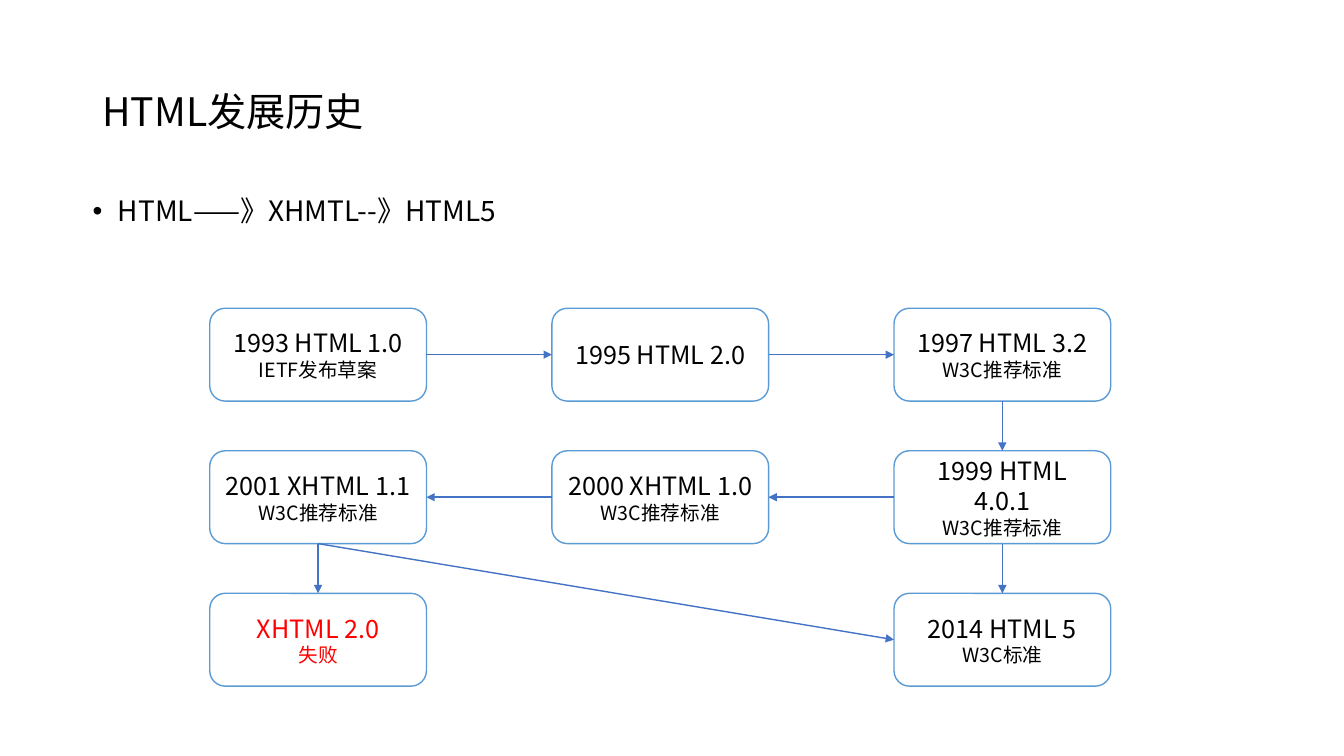
from dataclasses import dataclass

import pptx
import pptx.dml.color
import pptx.enum.shapes
import pptx.enum.text
import pptx.oxml
import pptx.oxml.ns
import pptx.util

Pt = pptx.util.Pt
RGB = pptx.dml.color.RGBColor
Shape = pptx.enum.shapes.MSO_SHAPE
Align = pptx.enum.text.PP_ALIGN
Anchor = pptx.enum.text.MSO_ANCHOR
qn = pptx.oxml.ns.qn


@dataclass(frozen=True)
class Theme:
    font: str = "Noto Sans CJK SC"
    text: RGB = RGB(0x00, 0x00, 0x00)
    failed: RGB = RGB(0xFF, 0x00, 0x00)
    box_fill: RGB = RGB(0xFF, 0xFF, 0xFF)
    box_line: RGB = RGB(0x5B, 0x9B, 0xD5)
    arrow: RGB = RGB(0x44, 0x72, 0xC4)
    title_size: float = 28
    body_size: float = 20
    version_size: float = 18
    status_size: float = 14
    line_width: float = 1


@dataclass(frozen=True)
class Version:
    name: str
    status: str
    col: int
    row: int
    color: RGB


@dataclass(frozen=True)
class Arrow:
    start: str
    start_site: int
    end: str
    end_site: int


THEME = Theme()
TOP, LEFT, BOTTOM, RIGHT = range(4)  # connection sites of a rounded rectangle

GRID_LEFT, GRID_TOP = 149.8, 220.2
COL_STEP, ROW_STEP = 244.4, 101.8
BOX_WIDTH, BOX_HEIGHT = 154.8, 66.3

VERSIONS = [
    Version("1993 HTML 1.0", "IETF发布草案", 0, 0, THEME.text),
    Version("1995 HTML 2.0", "", 1, 0, THEME.text),
    Version("1997 HTML 3.2", "W3C推荐标准", 2, 0, THEME.text),
    Version("1999 HTML 4.0.1", "W3C推荐标准", 2, 1, THEME.text),
    Version("2014 HTML 5", "W3C标准", 2, 2, THEME.text),
    Version("2000 XHTML 1.0", "W3C推荐标准", 1, 1, THEME.text),
    Version("2001 XHTML 1.1", "W3C推荐标准", 0, 1, THEME.text),
    Version("XHTML 2.0", "失败", 0, 2, THEME.failed),
]

ARROWS = [
    Arrow("1993 HTML 1.0", RIGHT, "1995 HTML 2.0", LEFT),
    Arrow("1995 HTML 2.0", RIGHT, "1997 HTML 3.2", LEFT),
    Arrow("1997 HTML 3.2", BOTTOM, "1999 HTML 4.0.1", TOP),
    Arrow("1999 HTML 4.0.1", BOTTOM, "2014 HTML 5", TOP),
    Arrow("1999 HTML 4.0.1", LEFT, "2000 XHTML 1.0", RIGHT),
    Arrow("2000 XHTML 1.0", LEFT, "2001 XHTML 1.1", RIGHT),
    Arrow("2001 XHTML 1.1", BOTTOM, "XHTML 2.0", TOP),
    Arrow("2001 XHTML 1.1", BOTTOM, "2014 HTML 5", LEFT),
]


def add_run(p, text: str, size: float, color: RGB) -> None:
    r = p.add_run()
    r.text = text
    r.font.size = Pt(size)
    r.font.color.rgb = color
    r.font.name = THEME.font
    ea = pptx.oxml.parse_xml(f'<a:ea {pptx.oxml.ns.nsdecls("a")} typeface="{THEME.font}"/>')
    r.font._element.find(qn("a:latin")).addnext(ea)


def fill_placeholder(sp, frame: tuple, text: str, size: float, anchor):
    """Move a placeholder, write its one paragraph and return that paragraph."""
    sp.left, sp.top, sp.width, sp.height = map(Pt, frame)
    tf = sp.text_frame
    tf.word_wrap = True
    tf.auto_size = pptx.enum.text.MSO_AUTO_SIZE.NONE
    tf.vertical_anchor = anchor
    p = tf.paragraphs[0]
    p.alignment = Align.LEFT
    p.line_spacing = 0.9
    p.space_before = Pt(0)
    add_run(p, text, size, THEME.text)
    return p


def add_version(s, version: Version):
    sp = s.shapes.add_shape(
        Shape.ROUNDED_RECTANGLE,
        Pt(GRID_LEFT + version.col * COL_STEP),
        Pt(GRID_TOP + version.row * ROW_STEP),
        Pt(BOX_WIDTH),
        Pt(BOX_HEIGHT),
    )
    sp.shadow.inherit = False
    sp.fill.solid()
    sp.fill.fore_color.rgb = THEME.box_fill
    sp.line.color.rgb = THEME.box_line
    sp.line.width = Pt(THEME.line_width)
    tf = sp.text_frame
    tf.word_wrap = True
    tf.vertical_anchor = Anchor.MIDDLE
    p = tf.paragraphs[0]
    p.alignment = Align.CENTER
    add_run(p, version.name, THEME.version_size, version.color)
    if version.status:
        p = tf.add_paragraph()
        p.alignment = Align.CENTER
        add_run(p, version.status, THEME.status_size, version.color)
    return sp


def add_arrow(s, arrow: Arrow, boxes: dict) -> None:
    line = s.shapes.add_connector(
        pptx.enum.shapes.MSO_CONNECTOR.STRAIGHT, Pt(0), Pt(0), Pt(0), Pt(0)
    )
    line.begin_connect(boxes[arrow.start], arrow.start_site)
    line.end_connect(boxes[arrow.end], arrow.end_site)
    line.line.color.rgb = THEME.arrow
    line.line.width = Pt(THEME.line_width)
    ns = pptx.oxml.ns.nsdecls("a")
    sp_pr = line._element.spPr
    sp_pr.find(qn("a:ln")).append(pptx.oxml.parse_xml(f'<a:tailEnd {ns} type="triangle"/>'))
    sp_pr.append(pptx.oxml.parse_xml(f"<a:effectLst {ns}/>"))


def main() -> None:
    prs = pptx.Presentation()
    prs.slide_width, prs.slide_height = Pt(960), Pt(540)
    s = prs.slides.add_slide(prs.slide_layouts[1])

    title, body = s.placeholders
    fill_placeholder(
        title, (66, 28.8, 828, 104.4), "HTML发展历史", THEME.title_size, Anchor.MIDDLE
    )
    p = fill_placeholder(
        body, (59, 137.5, 841.7, 87.8), "HTML——》XHMTL--》HTML5", THEME.body_size, Anchor.TOP
    )
    p_pr = p._p.get_or_add_pPr()
    p_pr.set("marL", str(Pt(18)))
    p_pr.set("indent", str(Pt(-18)))

    boxes = {version.name: add_version(s, version) for version in VERSIONS}
    for arrow in ARROWS:
        add_arrow(s, arrow, boxes)

    prs.save("out.pptx")


if __name__ == "__main__":
    main()
